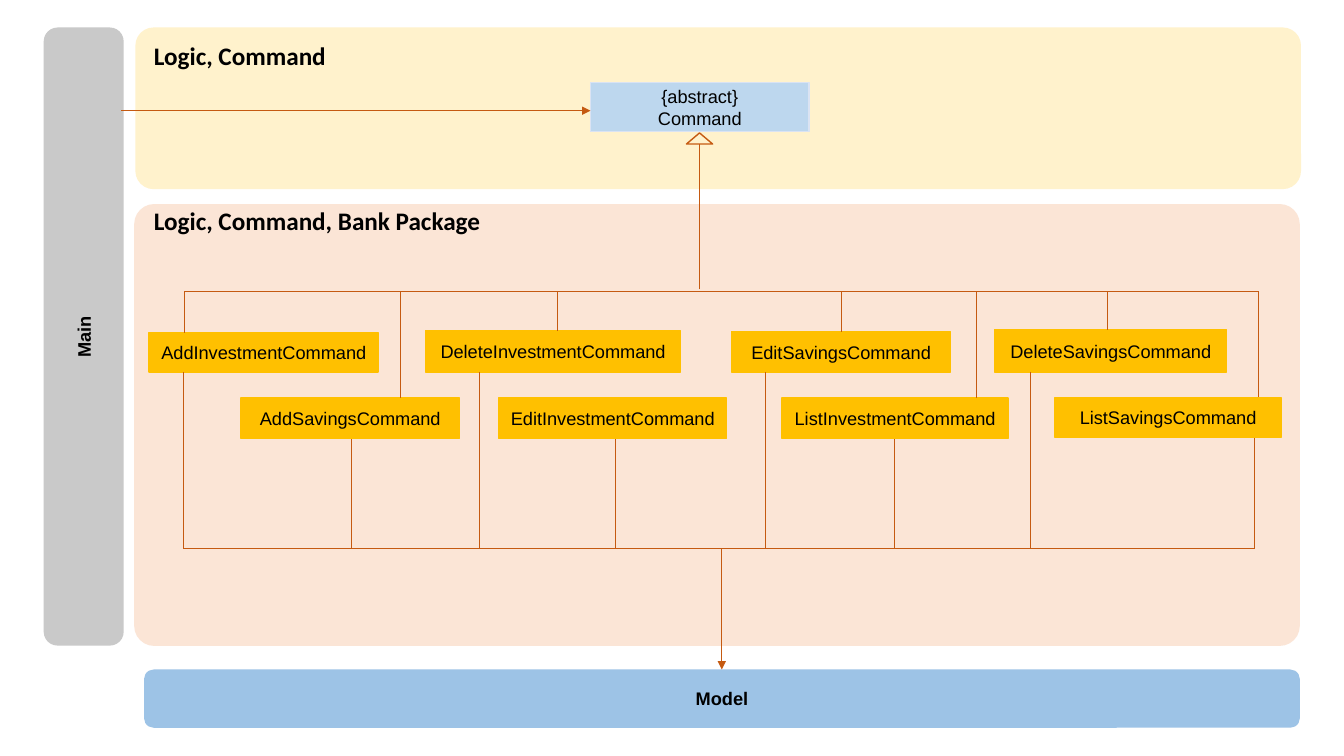
"""Class diagram of the bank commands between Main, Logic and Model."""
from lxml import etree
from pptx import Presentation
from pptx.dml.color import RGBColor
from pptx.enum import shapes, text
from pptx.oxml.ns import qn
from pptx.util import Cm, Pt

BLACK = RGBColor(0x00, 0x00, 0x00)
PEACH = RGBColor(0xFB, 0xE5, 0xD6)
CREAM = RGBColor(0xFF, 0xF2, 0xCC)
PALE_BLUE = RGBColor(0xBD, 0xD7, 0xEE)
PALE_EDGE = RGBColor(0xDA, 0xE3, 0xF3)
AMBER = RGBColor(0xFF, 0xC0, 0x00)
BLUE = RGBColor(0x9D, 0xC3, 0xE6)
GREY = RGBColor(0xC9, 0xC9, 0xC9)
RUST = RGBColor(0xC5, 0x5A, 0x11)

TOP_BUS, BOTTOM_BUS = 7.34, 13.82

presentation = Presentation()
presentation.slide_width = Cm(33.87)
presentation.slide_height = Cm(19.05)
slide = presentation.slides.add_slide(presentation.slide_layouts[6])


def add_box(place, fill, edge, lines=(), bold=False, corner=0.0):
    shape = slide.shapes.add_shape(
        shapes.MSO_SHAPE.ROUNDED_RECTANGLE, *map(Cm, place))
    shape.adjustments[0] = corner
    shape.shadow.inherit = False
    shape.fill.solid()
    shape.fill.fore_color.rgb = fill
    shape.line.color.rgb = edge
    shape.line.width = Pt(1)
    frame = shape.text_frame
    frame.word_wrap = False
    frame.vertical_anchor = text.MSO_ANCHOR.MIDDLE
    for index, line in enumerate(lines):
        paragraph = frame.add_paragraph() if index else frame.paragraphs[0]
        paragraph.text = line
        paragraph.alignment = text.PP_ALIGN.CENTER
        paragraph.font.name = "Arial"
        paragraph.font.size = Pt(13)
        paragraph.font.bold = bold
        paragraph.font.color.rgb = BLACK
    return shape


def add_line(start_x, start_y, end_x, end_y, arrow=False):
    connector = slide.shapes.add_connector(
        shapes.MSO_CONNECTOR.STRAIGHT, *map(Cm, (start_x, start_y, end_x, end_y)))
    connector.line.color.rgb = RUST
    connector.line.width = Pt(0.5)
    if arrow:
        etree.SubElement(connector.line._get_or_add_ln(), qn("a:tailEnd"), type="triangle")
    etree.SubElement(connector._element.spPr, qn("a:effectLst"))


add_box((3.4, 5.16, 29.34, 11.1), PEACH, PEACH, corner=0.044)
add_box((3.43, 0.71, 29.34, 4.04), CREAM, CREAM, corner=0.109)
add_box((14.88, 2.08, 5.51, 1.24), PALE_BLUE, PALE_EDGE, ["{abstract}", "Command"])
model = add_box((3.63, 16.87, 29.13, 1.47), BLUE, BLUE, ["Model"], True, 0.167)
model.line.fill.background()
main_bar = add_box((-5.66, 7.49, 15.54, 1.98), GREY, GREY, ["Main"], True, 0.167)
main_bar.rotation = 270

for title, top, width in [
    ("Logic, Command", 0.89, 4.9),
    ("Logic, Command, Bank Package", 5.05, 8.81),
]:
    label = slide.shapes.add_textbox(Cm(3.63), Cm(top), Cm(width), Cm(1.02))
    label.text_frame.word_wrap = False
    paragraph = label.text_frame.paragraphs[0]
    paragraph.text = title
    paragraph.font.name = "Calibri"
    paragraph.font.size = Pt(18)
    paragraph.font.bold = True
    paragraph.font.color.rgb = BLACK

# name, left, top, width, bottom, x of line to parent, x of line to model
commands = [
    ("AddInvestmentCommand", 3.76, 8.38, 5.77, 9.37, 4.65, 4.62),
    ("DeleteInvestmentCommand", 10.72, 8.33, 6.43, 9.37, 14.05, 12.09),
    ("EditSavingsCommand", 18.44, 8.36, 5.51, 9.37, 21.21, 19.28),
    ("DeleteSavingsCommand", 25.07, 8.31, 5.84, 9.37, 27.91, 25.96),
    ("AddSavingsCommand", 6.07, 10.03, 5.51, 11.05, 10.08, 8.86),
    ("EditInvestmentCommand", 12.57, 10.03, 5.74, 11.05, None, 15.52),
    ("ListInvestmentCommand", 19.71, 10.03, 5.69, 11.05, 24.61, 22.54),
    ("ListSavingsCommand", 26.59, 10.01, 5.69, 11.03, 31.7, 31.62),
]
for name, left, top, width, bottom, parent_x, model_x in commands:
    add_box((left, top, width, bottom - top), AMBER, AMBER, [name])
    if parent_x is not None:
        add_line(parent_x, top, parent_x, TOP_BUS)
    add_line(model_x, BOTTOM_BUS, model_x, bottom)

add_line(4.65, TOP_BUS, 31.7, TOP_BUS)
add_line(4.62, BOTTOM_BUS, 31.62, BOTTOM_BUS)
add_line(17.63, 7.29, 17.63, 3.63)
add_line(3.05, 2.79, 14.88, 2.79, arrow=True)
add_line(18.19, BOTTOM_BUS, 18.19, 16.87, arrow=True)

inheritance_head = slide.shapes.add_shape(
    shapes.MSO_SHAPE.ISOSCELES_TRIANGLE, Cm(17.3), Cm(3.35), Cm(0.66), Cm(0.28))
inheritance_head.shadow.inherit = False
inheritance_head.fill.background()
inheritance_head.line.color.rgb = RUST
inheritance_head.line.width = Pt(1)

presentation.save("out.pptx")
